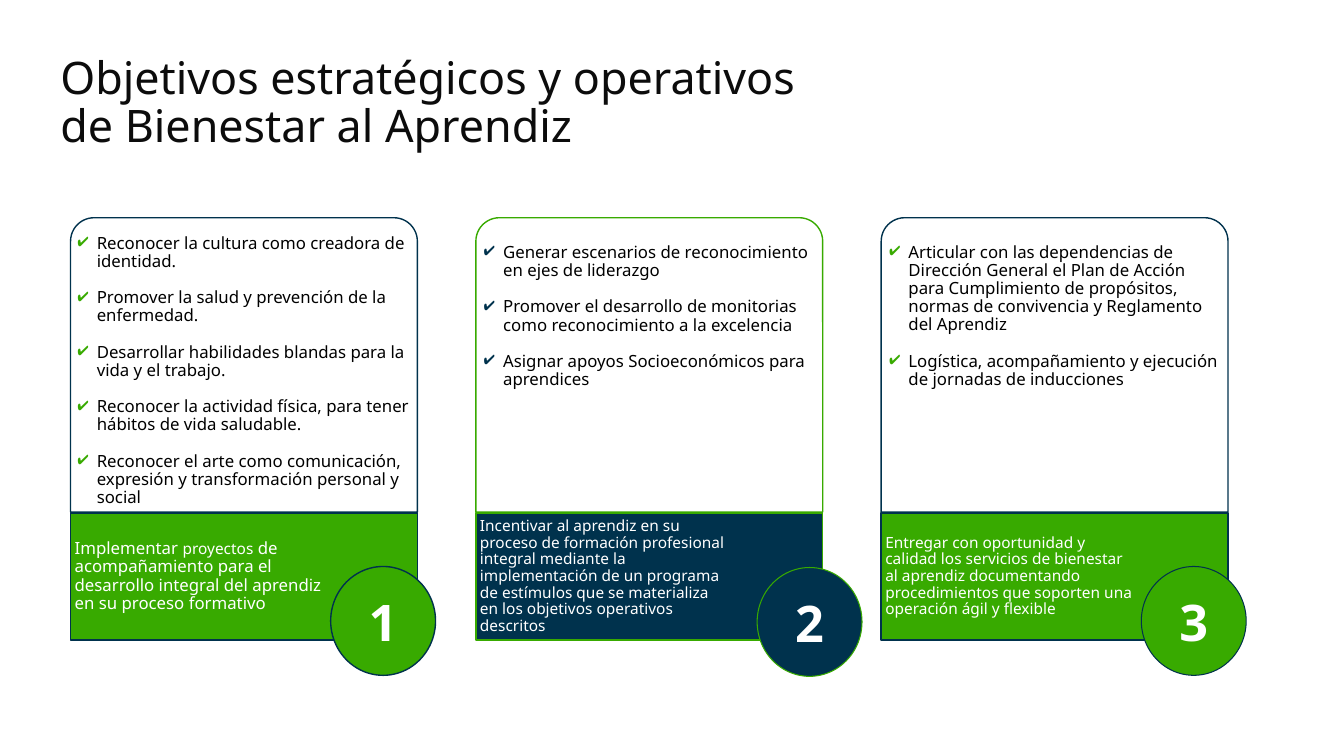
from pptx import Presentation
from pptx.dml.color import RGBColor
from pptx.enum import shapes, text
from pptx.oxml import xmlchemy
from pptx.util import Inches, Pt
from lxml import etree

GREEN = RGBColor(0x38, 0xAA, 0x00)
NAVY = RGBColor(0x00, 0x32, 0x4D)
WHITE = RGBColor(0xFF, 0xFF, 0xFF)
BLACK = RGBColor(0x00, 0x00, 0x00)
INK = RGBColor(0x0C, 0x0C, 0x0C)
DRAWING_NS = "{http://schemas.openxmlformats.org/drawingml/2006/main}"

FIRST_LEFT, PITCH, CARD_WIDTH = 0.7, 4.02, 3.44
CARD_TOP, CARD_HEIGHT = 2.16, 2.92
BAND_TOP, BAND_HEIGHT = 5.09, 1.26

OBJECTIVES = [
    dict(
        goals=[
            "Reconocer la cultura como creadora de identidad.",
            "Promover la salud y prevención de la enfermedad.",
            "Desarrollar habilidades blandas para la vida y el trabajo.",
            "Reconocer la actividad física, para tener hábitos de vida saludable.",
            "Reconocer el arte como comunicación, expresión y transformación personal y social",
        ],
        strategy=[
            ("Implementar ", 12),
            ("proyectos", 11),
            (" de acompañamiento para el desarrollo integral del aprendiz en su proceso formativo", 12),
        ],
        fill=GREEN, line=NAVY, goals_top=2.15, goals_inset=0.01,
        strategy_width=2.58, badge=(3.28, 5.62), badge_line=1,
    ),
    dict(
        goals=[
            "Generar escenarios de reconocimiento en ejes de liderazgo",
            "Promover el desarrollo de monitorias como reconocimiento a la excelencia",
            "Asignar apoyos Socioeconómicos para aprendices",
        ],
        strategy=[
            ("Incentivar al aprendiz en su proceso de formación profesional integral mediante "
             "la implementación de un programa de estímulos que se materializa en los "
             "objetivos operativos descritos", 11),
        ],
        fill=NAVY, line=GREEN, goals_top=2.23, goals_inset=0.02,
        strategy_width=2.52, badge=(7.51, 5.63), badge_line=0.75,
    ),
    dict(
        goals=[
            "Articular con las dependencias de Dirección General el Plan de Acción para "
            "Cumplimiento de propósitos, normas de convivencia y Reglamento del Aprendiz",
            "Logística, acompañamiento y ejecución de jornadas de inducciones",
        ],
        strategy=[
            ("Entregar con oportunidad y calidad los servicios de bienestar al aprendiz "
             "documentando procedimientos que soporten una operación ágil y flexible", 11),
        ],
        fill=GREEN, line=NAVY, goals_top=2.23, goals_inset=0.02,
        strategy_width=2.52, badge=(11.32, 5.62), badge_line=0.75,
    ),
]


class SlideBuilder:
    font = "Noto Sans"
    line_spacing = 0.9

    def __init__(self, slide):
        self.slide = slide

    def style(self, run, size, color, bold=False):
        run.font.name = self.font
        run.font.size = Pt(size)
        run.font.color.rgb = color
        run.font.bold = bold

    def frame(self, shape, insets, anchor):
        frame = shape.text_frame
        frame.word_wrap = True
        frame.vertical_anchor = anchor
        (frame.margin_left, frame.margin_top,
         frame.margin_right, frame.margin_bottom) = map(Inches, insets)
        return frame

    def shape(self, kind, box, fill, line, width=1):
        shape = self.slide.shapes.add_shape(kind, *map(Inches, box))
        shape.shadow.inherit = False
        shape.fill.solid()
        shape.fill.fore_color.rgb = fill
        shape.line.color.rgb = line
        shape.line.width = Pt(width)
        return shape

    def card(self, box, line):
        card = self.shape(shapes.MSO_SHAPE.ROUND_2_SAME_RECTANGLE, box, WHITE, line)
        card.adjustments[0] = 0.08
        color = card.fill._xPr.find(f"{DRAWING_NS}solidFill")[0]
        etree.SubElement(color, f"{DRAWING_NS}alpha", val="88000")

    def paragraph(self, box, pieces, color, insets, anchor=text.MSO_ANCHOR.TOP):
        area = self.slide.shapes.add_textbox(*map(Inches, box))
        paragraph = self.frame(area, insets, anchor).paragraphs[0]
        paragraph.line_spacing = self.line_spacing
        for words, size in pieces:
            run = paragraph.add_run()
            run.text = words
            self.style(run, size, color)

    def checklist(self, box, goals, check_color, inset):
        area = self.slide.shapes.add_textbox(*map(Inches, box))
        insets = (inset, inset + 0.17, inset, inset)
        frame = self.frame(area, insets, text.MSO_ANCHOR.TOP)
        frame.text = "\n".join(goals)
        for index, paragraph in enumerate(frame.paragraphs):
            paragraph.line_spacing = self.line_spacing
            if index:
                paragraph.space_before = Pt(13)
            properties = paragraph._p.get_or_add_pPr()
            properties.set("marL", str(Inches(0.19)))
            properties.set("indent", str(-Inches(0.19)))
            tint = etree.SubElement(properties, f"{DRAWING_NS}buClr")
            etree.SubElement(tint, f"{DRAWING_NS}srgbClr", val=str(check_color))
            etree.SubElement(properties, f"{DRAWING_NS}buChar", char="✔")
            self.style(paragraph.runs[0], 12, BLACK)

    def badge(self, number, position, fill, line, width):
        badge = self.shape(shapes.MSO_SHAPE.OVAL, (*position, 1.04, 1.08), fill, line, width)
        frame = self.frame(badge, (0.1,) * 4, text.MSO_ANCHOR.MIDDLE)
        frame.text = str(number)
        frame.paragraphs[0].alignment = text.PP_ALIGN.CENTER
        self.style(frame.paragraphs[0].runs[0], 36, WHITE, bold=True)

    def objective(self, number, item):
        left = FIRST_LEFT + (number - 1) * PITCH
        fill, line = item["fill"], item["line"]
        self.card((left, CARD_TOP, CARD_WIDTH, CARD_HEIGHT), line)
        self.checklist((left + 0.06, item["goals_top"], 3.32, 2.86),
                       item["goals"], fill, item["goals_inset"])
        self.shape(shapes.MSO_SHAPE.RECTANGLE,
                   (left, BAND_TOP, CARD_WIDTH, BAND_HEIGHT), fill, line)
        self.paragraph((left, BAND_TOP, item["strategy_width"], BAND_HEIGHT),
                       item["strategy"], WHITE, (0.04, 0, 0.01, 0), text.MSO_ANCHOR.MIDDLE)
        self.badge(number, item["badge"], fill, line, item["badge_line"])


def main():
    deck = Presentation()
    deck.slide_width, deck.slide_height = Inches(13.33), Inches(7.5)
    builder = SlideBuilder(deck.slides.add_slide(deck.slide_layouts[6]))
    builder.paragraph((0.5, 0.5, 7.94, 1.26),
                      [("Objetivos estratégicos y operativos de Bienestar al Aprendiz", 32)],
                      INK, (0.1, 0.05, 0.1, 0.05))
    for number, item in enumerate(OBJECTIVES, 1):
        builder.objective(number, item)
    deck.save("out.pptx")


if __name__ == "__main__":
    main()
